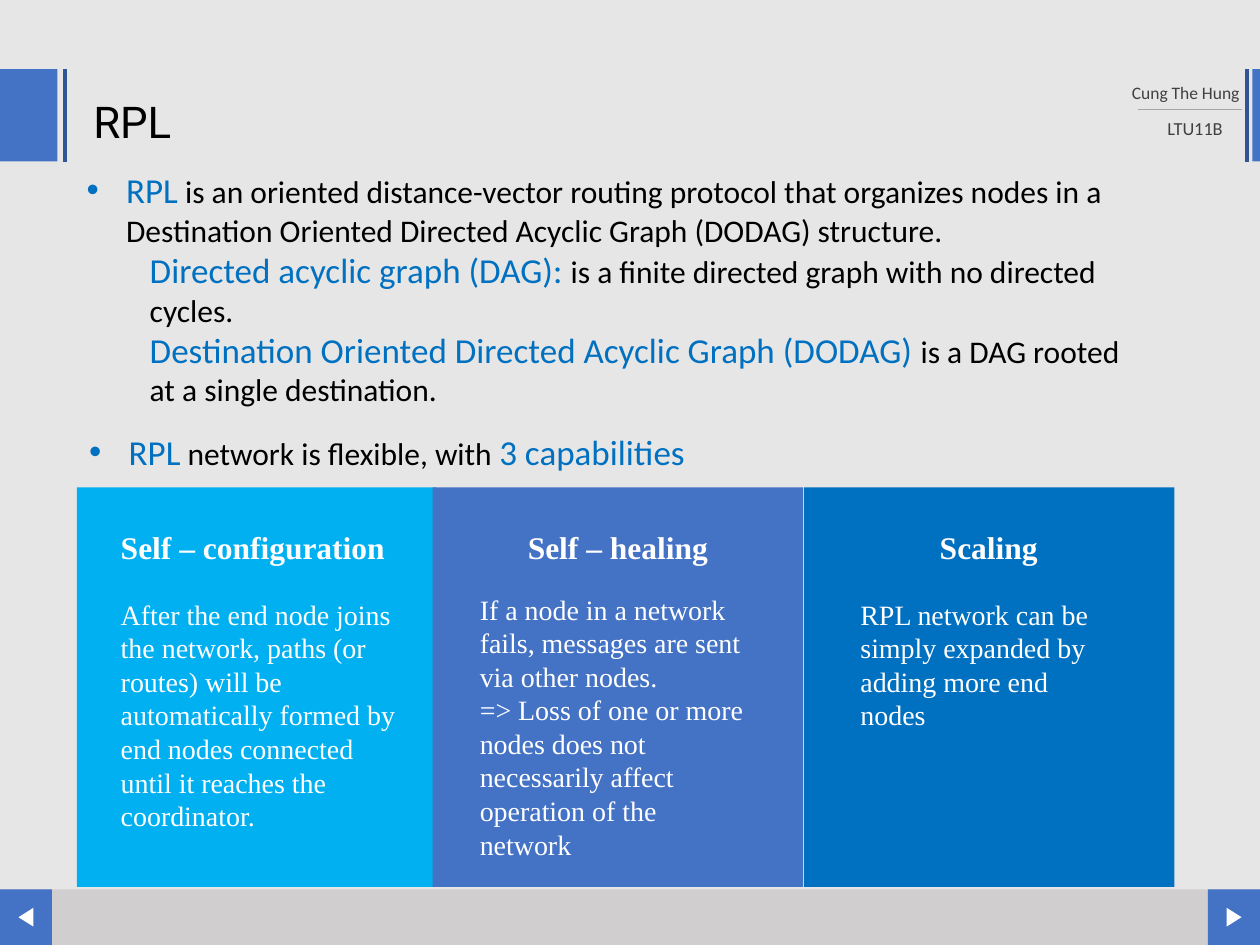
from lxml.etree import SubElement
from pptx import Presentation
from pptx.dml.color import RGBColor
from pptx.enum.shapes import MSO_CONNECTOR as Connector, MSO_SHAPE as Shape
from pptx.enum.text import MSO_ANCHOR as Anchor, MSO_AUTO_SIZE as AutoSize, PP_ALIGN as Align
from pptx.oxml.ns import qn
from pptx.util import Pt

COLORS = {
    "background": "E7E6E6", "footer": "D0CECE", "blue": "4472C4", "navy": "2F5597",
    "accent": "0070C0", "sky": "00B0F0", "white": "FFFFFF", "black": "000000",
    "gray": "404040", "rule": "A6A6A6",
}
BODY, TITLE, CARD = "Calibri", "Roboto", "Times New Roman"
WIDTH, HEIGHT = 720, 540


def color(name):
    return RGBColor.from_string(COLORS[name])


def add_text(paragraph, text, font=BODY, size=18, fill="black", bold=False):
    run = paragraph.add_run()
    run.text = text
    run.font.name = font
    run.font.size = Pt(size)
    run.font.bold = bold
    run.font.color.rgb = color(fill)


def indent(paragraph, left, bullet=False):
    properties = paragraph._p.get_or_add_pPr()
    properties.set("marL", str(Pt(left)))
    properties.set("indent", str(Pt(-left if bullet else 0)))
    if bullet:
        SubElement(properties, qn("a:buFont")).set("typeface", "Arial")
        SubElement(properties, qn("a:buChar")).set("char", "•")


class SlideBuilder:
    def __init__(self, presentation):
        self.slide = presentation.slides.add_slide(presentation.slide_layouts[5])
        self.slide.background.fill.solid()
        self.slide.background.fill.fore_color.rgb = color("background")

    def block(self, left, top, width, height, fill, kind=Shape.RECTANGLE, rotation=0):
        shape = self.slide.shapes.add_shape(kind, Pt(left), Pt(top), Pt(width), Pt(height))
        shape.shadow.inherit = False
        shape.fill.solid()
        shape.fill.fore_color.rgb = color(fill)
        shape.line.fill.background()
        shape.rotation = rotation

    def line(self, x1, y1, x2, y2, stroke, width):
        connector = self.slide.shapes.add_connector(
            Connector.STRAIGHT, Pt(x1), Pt(y1), Pt(x2), Pt(y2))
        connector.line.color.rgb = color(stroke)
        connector.line.width = Pt(width)
        SubElement(connector._element.spPr, qn("a:effectLst"))

    def title(self, text, left, top, width, height):
        shape = self.slide.shapes.title
        shape.left, shape.top, shape.width, shape.height = map(Pt, (left, top, width, height))
        frame = shape.text_frame
        frame.word_wrap = False
        frame.auto_size = AutoSize.SHAPE_TO_FIT_TEXT
        frame.vertical_anchor = Anchor.TOP
        paragraph = frame.paragraphs[0]
        paragraph.alignment = Align.LEFT
        paragraph.line_spacing = 1.07
        paragraph.space_after = Pt(8)
        add_text(paragraph, text, font=TITLE, size=25)

    def text_box(self, left, top, width, height, count=1, wrap=True, align=Align.LEFT):
        """Add a text box and return its empty paragraphs."""
        box = self.slide.shapes.add_textbox(Pt(left), Pt(top), Pt(width), Pt(height))
        frame = box.text_frame
        frame.word_wrap = wrap
        frame.auto_size = AutoSize.SHAPE_TO_FIT_TEXT
        for _ in range(count - 1):
            frame.add_paragraph()
        for paragraph in frame.paragraphs:
            paragraph.alignment = align
        return frame.paragraphs

    def label(self, text, left, top, width, height, size):
        paragraph, = self.text_box(left, top, width, height, align=Align.CENTER)
        add_text(paragraph, text, size=size, fill="gray")

    def points(self, items, left, top, width, height):
        """Each item is (indent, has bullet, runs); a run is (text, is key term)."""
        paragraphs = self.text_box(left, top, width, height, count=len(items))
        for paragraph, (margin, bullet, runs) in zip(paragraphs, items):
            indent(paragraph, margin, bullet)
            for text, key in runs:
                add_text(paragraph, text, size=20 if key else 18,
                         fill="accent" if key else "black")

    def card(self, fill, area, heading, heading_area, lines, lines_area):
        self.block(*area, fill)
        paragraph, = self.text_box(*heading_area, wrap=False)
        add_text(paragraph, heading, font=CARD, fill="white", bold=True)
        for paragraph, text in zip(self.text_box(*lines_area, count=len(lines)), lines):
            add_text(paragraph, text, font=CARD, size=16, fill="white")


def main():
    presentation = Presentation()
    presentation.slide_width, presentation.slide_height = Pt(WIDTH), Pt(HEIGHT)
    builder = SlideBuilder(presentation)

    # Footer bar with navigation buttons
    bar_top, bar_height, button = 508.2, 31.8, 29.7
    builder.block(0, bar_top, WIDTH, bar_height, "footer")
    for left, rotation in ((WIDTH - button, 90), (0, 270)):
        builder.block(left, bar_top, button, bar_height, "blue")
        builder.block(left + 9.45, 519.8, 10.8, 8.6, "white", Shape.ISOSCELES_TRIANGLE, rotation)

    # Header bands
    band_top, band_height = 39.5, 52.8
    for left, width, line_x in ((715.7, 5, 712.6), (-0.7, 33.6, 37.2)):
        builder.block(left, band_top, width, band_height, "blue")
        builder.line(line_x, band_top, line_x, band_top + band_height, "navy", 2.25)

    # Author and class
    builder.label("Cung The Hung", 632.9, 43.4, 89.3, 19.4, 10)
    builder.label("LTU11B", 653, 63.4, 59.8, 20, 10.5)
    builder.line(650.2, 62.4, 709.9, 62.4, "rule", 0.5)

    # Title and definitions
    builder.title("RPL", 46.1, 48.2, 63.4, 39.6)
    builder.points([
        (22.5, True, [
            ("RPL", True),
            (" is an oriented distance-vector routing protocol that organizes nodes in a "
             "Destination Oriented Directed Acyclic Graph (DODAG) structure.", False)]),
        (36, False, [
            ("Directed acyclic graph (DAG): ", True),
            ("is a finite directed graph with no directed cycles.", False)]),
        (36, False, [
            ("Destination Oriented Directed Acyclic Graph (DODAG) ", True),
            ("is a DAG rooted at a single destination.", False)]),
    ], 42.5, 92.9, 607, 145.4)
    builder.points([
        (22.5, True, [("RPL", True), (" network is flexible, with ", False),
                      ("3 capabilities", True)]),
    ], 43.9, 242.6, 362, 31.5)

    # Capability cards
    card_top, card_height, heading_top, heading_height = 278.6, 228.2, 298.1, 29
    cards = [
        ("accent", 459.4, 211.7, "Scaling", 529.9, 71.3,
         ["RPL network can be simply expanded by adding more end nodes"],
         (484.6, 337.7, 153.4, 85)),
        ("sky", 43.9, 205.2, "Self – configuration", 61.9, 167,
         ["After the end node joins the network, paths (or routes) will be automatically "
          "formed by end nodes connected until it reaches the coordinator."],
         (61.9, 337.7, 172.1, 143.3)),
        ("blue", 247.2, 211.7, "Self – healing", 294.5, 118.8,
         ["If a node in a network fails, messages are sent via other nodes.",
          "=> Loss of one or more nodes does not necessarily affect operation of the network"],
         (267.1, 334.8, 170.6, 162.7)),
    ]
    for fill, left, width, heading, heading_left, heading_width, lines, lines_area in cards:
        builder.card(fill, (left, card_top, width, card_height), heading,
                     (heading_left, heading_top, heading_width, heading_height),
                     lines, lines_area)

    presentation.save("out.pptx")


if __name__ == "__main__":
    main()
